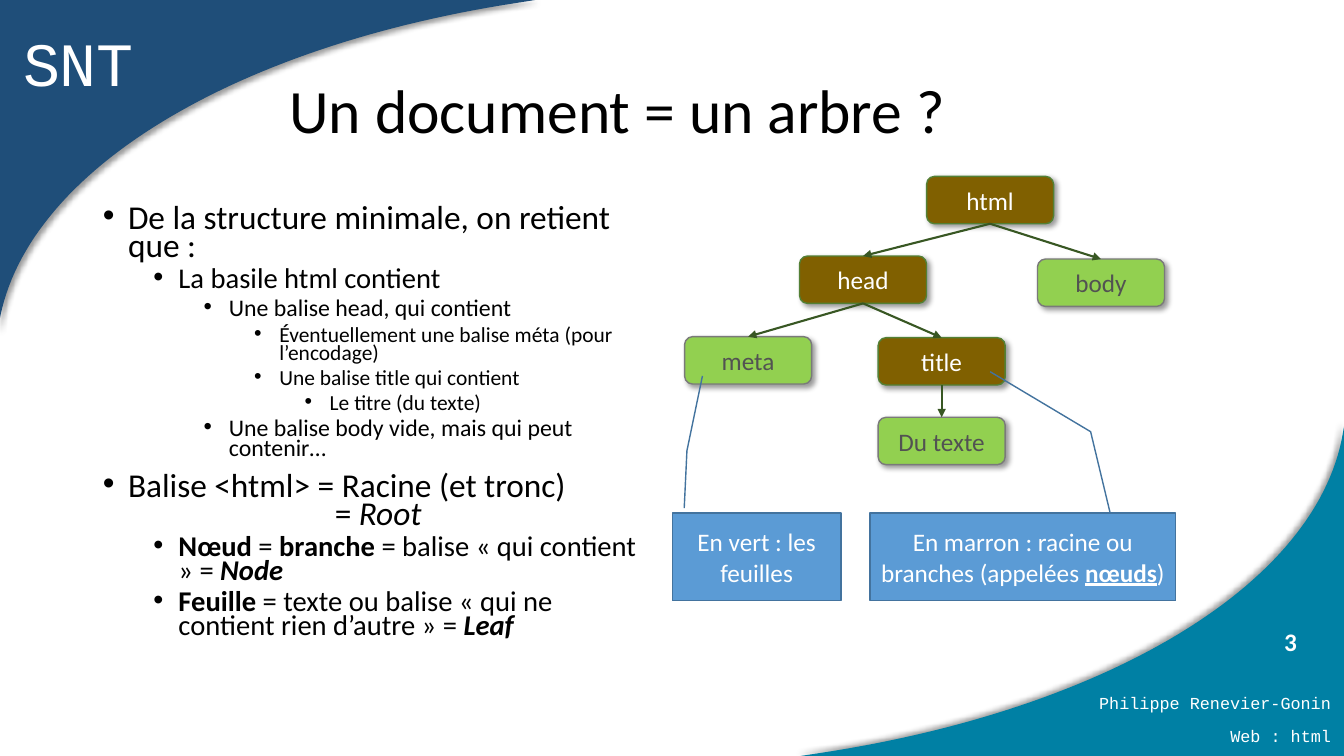
from lxml import etree
from pptx import Presentation
from pptx.dml.color import RGBColor
from pptx.enum.shapes import MSO_CONNECTOR, MSO_SHAPE
from pptx.enum.text import MSO_ANCHOR, MSO_AUTO_SIZE, PP_ALIGN
from pptx.oxml.ns import qn
from pptx.util import Pt

PX = 9144  # EMU per px, 100 px to the inch
LEFT, CENTER, RIGHT = PP_ALIGN.LEFT, PP_ALIGN.CENTER, PP_ALIGN.RIGHT
MIDDLE = MSO_ANCHOR.MIDDLE
STRAIGHT = MSO_CONNECTOR.STRAIGHT
TOP_SITE, BOTTOM_SITE = 0, 2

BLACK = RGBColor(0x00, 0x00, 0x00)
WHITE = RGBColor(0xFF, 0xFF, 0xFF)
NAVY = RGBColor(0x1F, 0x4E, 0x79)
TEAL = RGBColor(0x00, 0x80, 0xA4)
BROWN = RGBColor(0x80, 0x60, 0x00)
BROWN_EDGE = RGBColor(0x53, 0x80, 0x35)
GREEN = RGBColor(0x92, 0xD0, 0x50)
GREEN_EDGE = RGBColor(0x7A, 0x7A, 0x7A)
GREEN_TEXT = RGBColor(0x52, 0x52, 0x52)
ARROW = RGBColor(0x38, 0x57, 0x23)
BLUE = RGBColor(0x5B, 0x9B, 0xD5)
BLUE_EDGE = RGBColor(0x43, 0x73, 0x9E)


def write(paragraph, runs, size, color, align=LEFT, face="Calibri"):
    """Fill a paragraph from (text, style) runs; style holds b, i or u, text "\\n" is a line break."""
    paragraph.alignment = align
    font = paragraph.font
    font.name, font.size, font.color.rgb = face, Pt(size), color
    for text, style in runs:
        if text == "\n":
            paragraph.add_line_break()
            continue
        run = paragraph.add_run()
        run.text = text
        if "b" in style:
            run.font.bold = True
        if "i" in style:
            run.font.italic = True
        if "u" in style:
            run.font.underline = True


def cast_shadow(shape, degrees):
    shape.shadow.inherit = False
    effects = shape._element.spPr.find(qn("a:effectLst"))
    outer = etree.SubElement(effects, qn("a:outerShdw"), blurRad=str(Pt(4)), dist=str(Pt(3)),
                             dir=str(degrees * 60000), algn="ctr", rotWithShape="0")
    tint = etree.SubElement(outer, qn("a:srgbClr"), val="000000")
    etree.SubElement(tint, qn("a:alpha"), val="40000")


prs = Presentation()
prs.slide_width, prs.slide_height = 1333 * PX, 750 * PX
slide = prs.slides.add_slide(prs.slide_layouts[1])
shapes = slide.shapes

# Curved corners: corner, straight edge, Bezier curve, last point
CORNERS = [
    (TEAL, 225, (1333, 750), (794, 750),
     [(814, 747), (1097, 704), (1307, 580), (1332, 429)], (1333, 423)),
    (NAVY, 45, (-2, 0), (531, 0),
     [(512, 3), (232, 46), (24, 170), (-1, 321)], (-2, 327)),
]
STEPS = 60
for color, shadow_angle, corner, edge, curve, last in CORNERS:
    outline = [edge]
    for step in range(STEPS + 1):
        t = step / STEPS
        weights = ((1 - t) ** 3, 3 * t * (1 - t) ** 2, 3 * t ** 2 * (1 - t), t ** 3)
        outline.append(tuple(sum(w * point[axis] for w, point in zip(weights, curve))
                             for axis in (0, 1)))
    outline.append(last)
    builder = shapes.build_freeform(corner[0] * PX, corner[1] * PX, scale=1.0)
    builder.add_line_segments([(x * PX, y * PX) for x, y in outline], close=True)
    swoosh = builder.convert_to_shape()
    swoosh.fill.solid()
    swoosh.fill.fore_color.rgb = color
    swoosh.line.fill.background()
    cast_shadow(swoosh, shadow_angle)

# Course name and footer
for text, x, y, w, h, size, align, wrap in [
    ("SNT", 13, 20, 131, 84, 44, LEFT, False),
    ("Philippe Renevier-Gonin", 892, 682, 438, 30, 12, RIGHT, True),
    ("Web : html", 892, 715, 438, 30, 12, RIGHT, True),
]:
    label = shapes.add_textbox(x * PX, y * PX, w * PX, h * PX).text_frame
    label.word_wrap = wrap
    write(label.paragraphs[0], [(text, "")], size, WHITE, align, "Courier New")

page_number = shapes.add_shape(MSO_SHAPE.OVAL, 1252 * PX, 597 * PX, 81 * PX, 78 * PX)
page_number.fill.background()
page_number.line.fill.background()
page_number.shadow.inherit = False
page_number.text_frame.vertical_anchor = MIDDLE
write(page_number.text_frame.paragraphs[0], [("3", "b")], 18, WHITE)

# Title and list
title = shapes.title
title.left, title.top, title.width, title.height = 277 * PX, 40 * PX, 964 * PX, 145 * PX
title.text_frame.vertical_anchor = MIDDLE
title.text_frame.auto_size = MSO_AUTO_SIZE.NONE
heading = title.text_frame.paragraphs[0]
heading.line_spacing = 0.9
write(heading, [("Un document = un arbre ?", "")], 44, BLACK)

LEVEL_SIZES = [23.8, 20.4, 17, 15.3, 15.3]
POINTS = [
    (0, [("De la structure minimale, on retient que :", "")]),
    (1, [("La basile html contient", "")]),
    (2, [("Une balise head, qui contient", "")]),
    (3, [("Éventuellement une balise méta (pour l’encodage)", "")]),
    (3, [("Une balise title qui contient", "")]),
    (4, [("Le titre (du texte)", "")]),
    (2, [("Une balise body vide, mais qui peut contenir…", "")]),
    (0, [("Balise <html> = Racine (et tronc)", ""), ("\n", ""), ("\t= ", ""), ("Root", "i")]),
    (1, [("Nœud", "b"), (" = ", ""), ("branche", "b"),
         (" = balise « qui contient » = ", ""), ("Node", "bi")]),
    (1, [("Feuille", "b"), (" = texte ou balise « qui ne contient rien d’autre » = ", ""),
         ("Leaf", "bi")]),
]
body = slide.placeholders[1]
body.left, body.top, body.width, body.height = 92 * PX, 200 * PX, 567 * PX, 476 * PX
body.text_frame.auto_size = MSO_AUTO_SIZE.NONE
for index, (level, runs) in enumerate(POINTS):
    point = body.text_frame.paragraphs[0] if index == 0 else body.text_frame.add_paragraph()
    point.level = level
    point.line_spacing = 0.7
    point.space_before = Pt(5 if level else 10)
    props = point._p.get_or_add_pPr()
    props.set("marL", str((25 + 50 * level) * PX))
    props.set("indent", str(-25 * PX))
    etree.SubElement(props, qn("a:buFont"), typeface="Arial")
    etree.SubElement(props, qn("a:buChar"), char="•")
    if ("\n", "") in runs:
        tabs = etree.SubElement(props, qn("a:tabLst"))
        etree.SubElement(tabs, qn("a:tab"), pos=str(230 * PX), algn="l")
    write(point, runs, LEVEL_SIZES[level], BLACK)

# Document tree: name, parent, left, top, is a leaf
TREE = [
    ("html", None, 919, 175, False),
    ("head", "html", 793, 254, False),
    ("body", "html", 1029, 257, True),
    ("title", "head", 871, 335, False),
    ("meta", "head", 679, 334, True),
    ("Du texte", "title", 871, 414, True),
]
nodes = {}
for name, parent, x, y, leaf in TREE:
    node = shapes.add_shape(MSO_SHAPE.FLOWCHART_ALTERNATE_PROCESS, x * PX, y * PX, 126 * PX, 47 * PX)
    nodes[name] = node
    node.fill.solid()
    node.fill.fore_color.rgb = GREEN if leaf else BROWN
    node.line.color.rgb = GREEN_EDGE if leaf else BROWN_EDGE
    node.line.width = Pt(1)
    cast_shadow(node, 45)
    node.text_frame.vertical_anchor = MIDDLE
    write(node.text_frame.paragraphs[0], [(name, "")], 18, GREEN_TEXT if leaf else WHITE, CENTER)
    if parent:
        branch = shapes.add_connector(STRAIGHT, 0, 0, 0, 0)
        branch.begin_connect(nodes[parent], BOTTOM_SITE)
        branch.end_connect(node, TOP_SITE)
        branch.line.color.rgb = ARROW
        branch.line.width = Pt(1.5)
        etree.SubElement(branch.line._get_or_add_ln(), qn("a:tailEnd"), type="triangle")
        etree.SubElement(branch._element.spPr, qn("a:effectLst"))

# Legend callouts
for x, w, leader, runs in [
    (863, 303, (-0.014, 0.785, -0.928, 0.722, -1.612, 0.393),
     [("En marron : racine ou branches (appelées ", ""), ("nœuds", "bu"), (")", "")]),
    (667, 167, (-0.057, 0.07, -0.71, 0.086, -1.564, 0.178), [("En vert : les feuilles", "")]),
]:
    legend = shapes.add_shape(MSO_SHAPE.LINE_CALLOUT_2, x * PX, 509 * PX, w * PX, 87 * PX)
    for index, value in enumerate(leader):
        legend.adjustments[index] = value
    legend.fill.solid()
    legend.fill.fore_color.rgb = BLUE
    legend.line.color.rgb = BLUE_EDGE
    legend.line.width = Pt(1)
    legend.shadow.inherit = False
    legend.text_frame.vertical_anchor = MIDDLE
    write(legend.text_frame.paragraphs[0], runs, 18, WHITE, CENTER)

prs.save("out.pptx")
